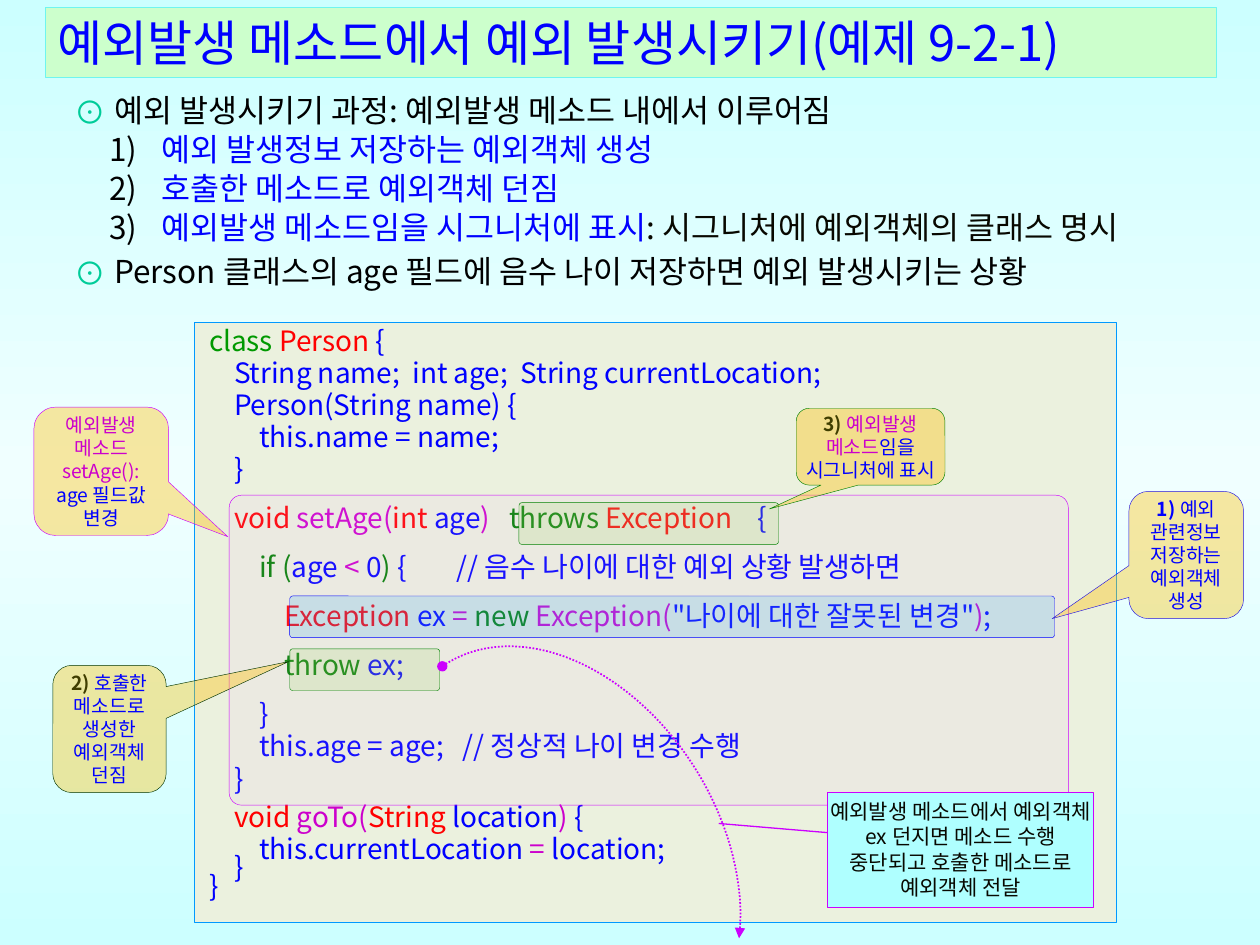
from copy import deepcopy
from dataclasses import dataclass
from typing import Any, NamedTuple, Optional

from lxml import etree
from pptx import Presentation
from pptx.dml.color import RGBColor
from pptx.enum import dml, shapes, text
from pptx.oxml.ns import qn
from pptx.util import Pt


@dataclass(frozen=True)
class Theme:
    font: str = "Noto Sans CJK KR"
    blue: str = "0000FF"
    red: str = "FF0000"
    pink: str = "CC00CC"
    green: str = "008000"
    leaf: str = "009900"
    black: str = "000000"
    ink: str = "080800"
    olive: str = "3F3E00"
    mint: str = "00CC99"
    plum: str = "CC00FF"
    amber: str = "FFC000"
    lime: str = "92D050"
    sky: str = "0099FF"
    sky_fade: tuple = ("CCFFFF", "F0FFFF", "CCFFFF")
    head: int = 28
    body: int = 18
    code: int = 16
    note: int = 12
    tag: int = 11


T = Theme()
KIND = shapes.MSO_SHAPE
ALIGN = text.PP_ALIGN


class Run(NamedTuple):
    words: str
    hue: str = T.blue
    bold: bool = False


@dataclass(frozen=True)
class Line:
    runs: tuple
    gap: float = 2.4
    pitch: Any = Pt(16)
    mark: Optional[str] = None


@dataclass(frozen=True)
class Box:
    kind: Any
    place: tuple
    line: str
    fill: Optional[str] = None
    clear: int = 100
    adjust: tuple = ()
    width: float = 0.25


@dataclass(frozen=True)
class Tag:
    place: tuple
    line: str
    tip: tuple
    lines: tuple


def put(item: Any, **values: Any) -> None:
    for name, value in values.items():
        setattr(item, name, value)


def move(shape: Any, place: tuple) -> None:
    put(shape, **dict(zip(("left", "top", "width", "height"), map(Pt, place))))


def paint(shape: Any, box: Box) -> None:
    if box.fill:
        shape.fill.solid()
        shape.fill.fore_color.rgb = RGBColor.from_string(box.fill)
        if box.clear < 100:
            tint = shape._element.spPr.find(qn("a:solidFill"))[0]
            etree.SubElement(tint, qn("a:alpha"), val=str(box.clear * 1000))
    else:
        shape.fill.background()
    shape.line.color.rgb = RGBColor.from_string(box.line)
    shape.line.width = Pt(box.width)


def draw(slide: Any, box: Box) -> Any:
    shape = slide.shapes.add_shape(box.kind, *map(Pt, box.place))
    shape.shadow.inherit = False
    for i, value in enumerate(box.adjust):
        shape.adjustments[i] = value
    paint(shape, box)
    return shape


def bullet(para: Any, mark: str) -> None:
    star = mark == "⊙"
    left, hang = (23, 23) if star else (50, 30)
    props = para._p.get_or_add_pPr()
    props.set("marL", str(Pt(left)))
    props.set("indent", str(-Pt(hang)))
    hue = etree.SubElement(props, qn("a:buClr"))
    etree.SubElement(hue, qn("a:srgbClr"), val=T.mint if star else T.black)
    etree.SubElement(props, qn("a:buFont"), typeface=T.font)
    if star:
        etree.SubElement(props, qn("a:buChar"), char=mark)
    else:
        etree.SubElement(props, qn("a:buAutoNum"), type=mark)


def write(shape: Any, lines: tuple, size: int, align: Any,
          pad: tuple = (0, 0, 0, 0), anchor: Any = text.MSO_ANCHOR.TOP) -> None:
    frame = shape.text_frame
    put(frame, word_wrap=True, auto_size=text.MSO_AUTO_SIZE.NONE, vertical_anchor=anchor)
    sides = ("margin_left", "margin_top", "margin_right", "margin_bottom")
    put(frame, **dict(zip(sides, map(Pt, pad))))
    for i, line in enumerate(lines):
        para = frame.add_paragraph() if i else frame.paragraphs[0]
        put(para, alignment=align, line_spacing=line.pitch,
            space_before=Pt(line.gap if i else 0))
        if line.mark:
            bullet(para, line.mark)
        for part in line.runs:
            run = para.add_run()
            run.text = part.words
            put(run.font, size=Pt(size), name=T.font, bold=part.bold)
            run.font.color.rgb = RGBColor.from_string(part.hue)
            etree.SubElement(run.font._element, qn("a:ea"), typeface=T.font)


def row(*runs: Run) -> Line:
    return Line(runs, 0, 1.0)


def item(mark: str, *runs: Run, gap: float = 2.7) -> Line:
    return Line(runs, gap, 0.9, mark)


def code(depth: int, *runs: Run, gap: float = 2.4, pitch: int = 16) -> Line:
    first = runs[0]._replace(words="\u00a0" * 4 * depth + runs[0].words)
    return Line((first, *runs[1:]), gap, Pt(pitch))


STEP = "arabicParenR"
POINTS = (
    item("⊙", Run("예외 발생시키기 과정: 예외발생 메소드 내에서 이루어짐", T.black)),
    item(STEP, Run("예외 발생정보 저장하는 예외객체 생성")),
    item(STEP, Run("호출한 메소드로 예외객체 던짐")),
    item(STEP, Run("예외발생 메소드임을 시그니처에 표시"),
         Run(": 시그니처에 예외객체의 클래스 명시", T.ink)),
    item("⊙", Run("Person 클래스의 age 필드에 음수 나이 저장하면 예외 발생시키는 상황", T.black), gap=6),
)
CODE = (
    code(0, Run("class ", T.leaf), Run("Person", T.red), Run(" {")),
    code(1, Run("String name;\u00a0\u00a0int age;\u00a0\u00a0String currentLocation;")),
    code(1, Run("Person(String name) {")),
    code(2, Run("this.name = name;")),
    code(1, Run("}")),
    code(1, Run("void ", T.red), Run("setAge(", T.pink), Run("int ", T.red), Run("age"),
         Run(")   ", T.pink), Run("throws ", T.green), Run("Exception", T.red),
         Run("    {"), gap=12),
    code(2, Run("if (", T.green), Run("age "), Run("<", T.pink), Run(" 0"), Run(") ", T.green),
         Run("{\u00a0\u00a0      // 음수 나이에 대한 예외 상황 발생하면"), gap=12),
    code(3, Run("Exception", T.red), Run(" ex "), Run("= ", T.pink), Run("new ", T.green),
         Run("Exception(", T.pink), Run('"나이에 대한 잘못된 변경"'), Run(")", T.pink),
         Run(";"), gap=12),
    code(3, Run("throw ", T.green), Run("ex;"), gap=12),
    code(2, Run("}"), gap=12),
    code(2, Run("this.age = age;\u00a0\u00a0\u00a0// 정상적 나이 변경 수행")),
    code(1, Run("}")),
    code(1, Run("void ", T.red), Run("goTo(", T.pink), Run("String ", T.red),
         Run("location"), Run(") ", T.pink), Run("{"), gap=6),
    code(2, Run("this.currentLocation "), Run("=", T.pink), Run(" location;")),
    code(1, Run("}"), pitch=8),
    code(0, Run("}"), pitch=8),
)
TAGS = (
    Tag((19.4, 232.6, 77, 73.4), T.plum, (0.94, 0.51),
        (row(Run("예외발생 메소드 setAge():", T.pink)), row(Run("age 필드값 변경")))),
    Tag((455, 233.3, 85, 43.9), T.green, (-0.68, 0.81),
        (row(Run("3) ", T.olive, True), Run("예외발생 메소드", T.pink),
             Run("임을 시그니처에 표시")),)),
    Tag((645.1, 280.8, 65.5, 72.7), "2213E3", (-1.17, 0.5),
        (row(Run("1) ", T.blue, True), Run("예외 관련정보 저장하는")), row(Run("예외객체 생성")))),
    Tag((30.2, 380.2, 64.8, 72.7), "003300", (1.58, -0.53),
        (row(Run("2) ", T.olive, True), Run("호출한 메소드로")), row(Run("생성한 예외객체 던짐")))),
)
BARS = (
    ((296.6, 287.3, 148.3, 23.8), T.lime, T.green),
    ((165.6, 340.6, 437, 23.8), T.sky, T.blue),
    ((165.6, 370.8, 85.7, 23.8), T.lime, T.green),
)


def wash(slide: Any) -> None:
    fill = slide.background.fill
    fill.gradient()
    fill.gradient_angle = 90
    stops = slide._element.find(".//" + qn("a:gsLst"))
    stops.append(deepcopy(stops[0]))
    for i, (stop, hue) in enumerate(zip(fill.gradient_stops, T.sky_fade)):
        put(stop, position=i / 2)
        stop.color.rgb = RGBColor.from_string(hue)


def main() -> None:
    deck = Presentation()
    put(deck, slide_width=Pt(720), slide_height=Pt(540))
    slide = deck.slides.add_slide(deck.slide_layouts[5])
    wash(slide)

    title = slide.shapes.title
    band = Box(KIND.RECTANGLE, (25.9, 4.3, 668.9, 39.6), "6FF5EF", "CCFFCC")
    move(title, band.place)
    paint(title, band)
    write(title, (row(Run("예외발생 메소드에서 예외 발생시키기(예제 9-2-1)")),), T.head,
          ALIGN.LEFT, (7.2, 3.6, 7.2, 3.6), text.MSO_ANCHOR.MIDDLE)

    panel = draw(slide, Box(KIND.RECTANGLE, (110.9, 184.3, 527, 342.7), T.sky, "EBF1DE"))
    write(panel, CODE, T.code, ALIGN.JUSTIFY, (8.6, 3.6, 0, 3.6))
    draw(slide, Box(KIND.ROUNDED_RECTANGLE, (131, 283, 479.5, 177.1), T.plum,
                    "F1B3FF", 10, (0.04,)))
    points = slide.shapes.add_textbox(*map(Pt, (35.3, 51.1, 671.8, 126)))
    write(points, POINTS, T.body, ALIGN.JUSTIFY, (7.2, 3.6, 7.2, 3.6))

    for place, fill, line in BARS:
        draw(slide, Box(KIND.ROUNDED_RECTANGLE, place, line, fill, 15, (0.07,)))
    for tag in TAGS:
        shape = draw(slide, Box(KIND.ROUNDED_RECTANGULAR_CALLOUT, tag.place, tag.line,
                                T.amber, 37, (*tag.tip, 0.17)))
        write(shape, tag.lines, T.tag, ALIGN.CENTER)

    throw = draw(slide, Box(KIND.ARC, (233.3, 360, 177.8, 253.4), T.plum,
                            adjust=(161.2, 34.92), width=1))
    throw.rotation = 328.1
    throw.line.dash_style = dml.MSO_LINE.ROUND_DOT
    for end, form in (("a:headEnd", "oval"), ("a:tailEnd", "triangle")):
        etree.SubElement(throw.line._get_or_add_ln(), qn(end), type=form)

    note = draw(slide, Box(KIND.LINE_CALLOUT_1, (473, 452.9, 151.9, 65.5), T.plum, "AFFFFF",
                           adjust=(0.35, 0, 0.27, -0.41), width=0.75))
    words = "예외발생 메소드에서 예외객체 ex 던지면 메소드 수행 중단되고 호출한 메소드로 예외객체 전달"
    write(note, (row(Run(words, T.ink)),), T.note, ALIGN.CENTER, (0, 3.6, 0, 3.6))
    deck.save("out.pptx")


if __name__ == "__main__":
    main()
